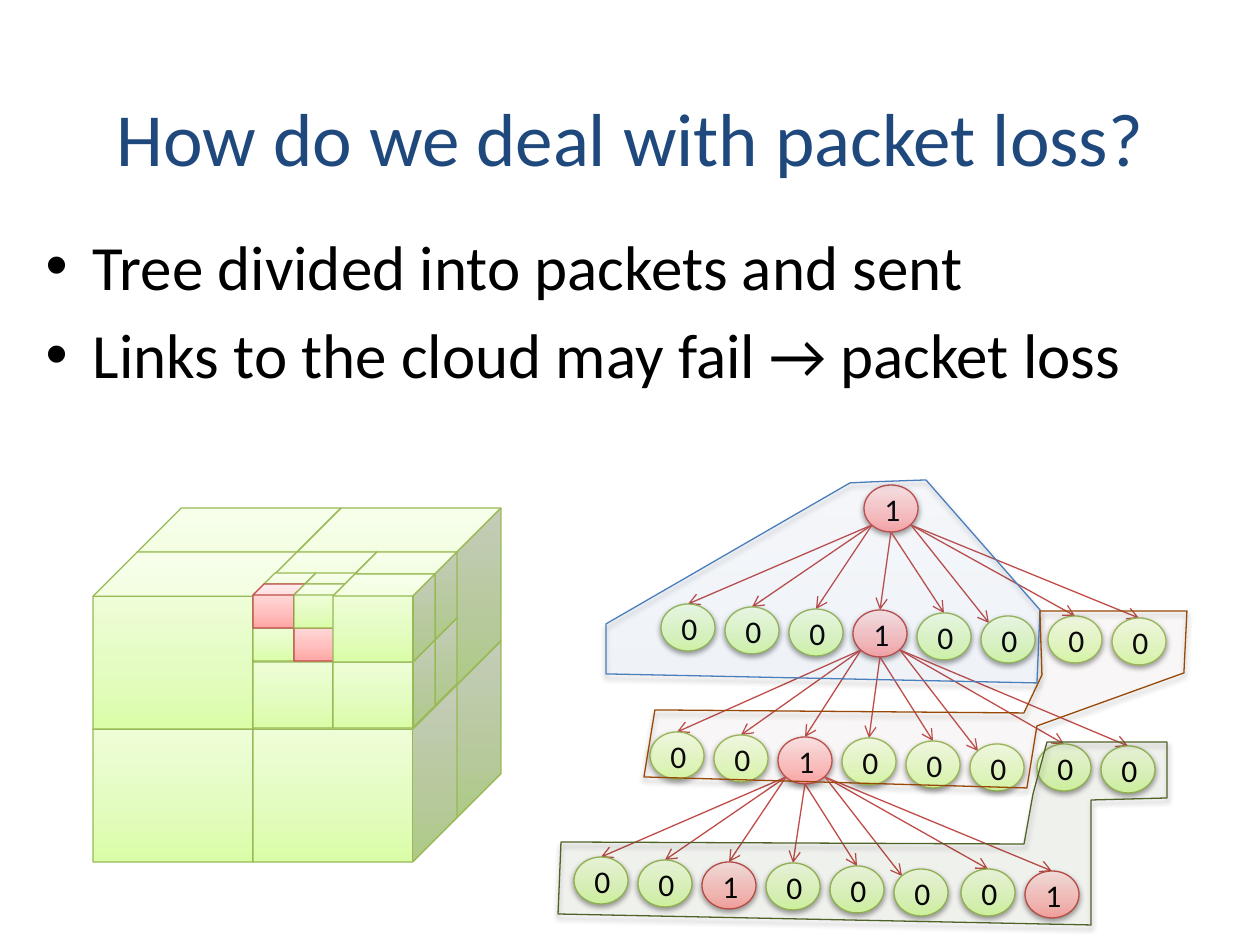
"""Build the slide on packet loss: an octree cube beside its tree, split into packets."""
from lxml.etree import SubElement
from pptx import Presentation
from pptx.dml.color import RGBColor
from pptx.enum.shapes import MSO_CONNECTOR, MSO_SHAPE
from pptx.enum.text import MSO_ANCHOR, MSO_AUTO_SIZE, PP_ALIGN
from pptx.oxml import parse_xml
from pptx.oxml.ns import nsdecls, qn
from pptx.util import Inches, Pt

SCALE = Inches(1) / 126
FONT = "Calibri"

TITLE = "How do we deal with packet loss?"
BULLETS = [
    "Tree divided into packets and sent",
    "Links to the cloud may fail → packet loss",
]

GREEN = {"stops": [(0, "DAFDA7"), (35, "E4FCC2"), (100, "F5FFE7")], "line": "98B955"}
RED = {"stops": [(0, "FFA6A5"), (35, "FFC0BF"), (100, "FFE7E7")], "line": "BF4C48"}

LEVELS = {
    "large": (93, 508, 204, 177, 44),
    "medium": (253, 552, 102, 88, 22),
    "small": (253, 573, 52, 44, 11),
}
BACK, FRONT = 1, 0
CUBES = [
    ("large", BACK, [(1, 1, GREEN), (0, 0, GREEN), (1, 0, GREEN)]),
    ("large", FRONT, [(0, 1, GREEN), (1, 1, GREEN), (0, 0, GREEN)]),
    ("medium", BACK, [(1, 1, GREEN), (0, 0, GREEN), (1, 0, GREEN)]),
    ("medium", FRONT, [(0, 1, GREEN), (1, 1, GREEN)]),
    ("small", BACK, [(1, 1, GREEN), (0, 0, GREEN), (1, 0, GREEN)]),
    ("small", FRONT, [(0, 1, GREEN), (1, 1, RED), (0, 0, RED), (1, 0, GREEN)]),
    ("medium", FRONT, [(1, 0, GREEN)]),
]

NODE_SIZE = (54, 47)
ROOT = (864, 485)
ROWS = [
    {"start": (661, 604), "digits": "00010000", "parent_of_next": 3},
    {"start": (650, 732), "digits": "00100000", "parent_of_next": 2},
    {"start": (574, 857), "digits": "00100001", "parent_of_next": None},
]
CHILD_OFFSETS = [(0, 0), (64, 3), (128, 5), (192, 6),
                 (256, 9), (320, 12), (387, 12), (451, 14)]
LEFT_EXIT, BOTTOM_EXIT, RIGHT_EXIT = (8, 40), (27, 47), (47, 40)
EXITS = [LEFT_EXIT] * 3 + [BOTTOM_EXIT] * 2 + [RIGHT_EXIT] * 3
TOP_ENTRY, CORNER_ENTRY = (27, 0), (8, 7)
ENTRIES = [TOP_ENTRY] * 5 + [CORNER_ENTRY] + [TOP_ENTRY] * 2

PACKETS = [
    {"stops": [(0, "3F80CE"), (100, "A4C4FF")], "line": "4B7EBC",
     "points": [(926, 480), (870, 482), (850, 483), (606, 624), (606, 674),
                (1037, 683), (1040, 610)]},
    {"stops": [(0, "E6B9B8")], "line": "984807",
     "points": [(1042, 675), (1040, 611), (1187, 611), (1184, 673), (1037, 726),
                (1027, 788), (644, 777), (655, 710), (1024, 713)]},
    {"stops": [(0, "4F6228")], "line": "4F6228",
     "points": [(1033, 794), (1047, 742), (1167, 742), (1167, 798), (1091, 800),
                (1091, 925), (558, 914), (561, 842), (1024, 844)]},
]


def px(*values):
    return [round(value * SCALE) for value in values]


def color(code):
    return RGBColor.from_string(code)


def add(point, offset):
    return point[0] + offset[0], point[1] + offset[1]


def paint(shape, style, alpha=100):
    opacity = f'<a:alpha val="{alpha * 1000}"/>'
    if len(style["stops"]) == 1:
        shape.fill.solid()
        shape.fill.fore_color.rgb = color(style["stops"][0][1])
        fill = shape.element.spPr.find(qn("a:solidFill"))
        fill[0].append(parse_xml(opacity.replace("/>", f' {nsdecls("a")}/>')))
    else:
        shape.fill.gradient()
        stops = "".join(
            f'<a:gs pos="{place * 1000}"><a:srgbClr val="{code}">{opacity}</a:srgbClr></a:gs>'
            for place, code in style["stops"])
        fill = shape.element.spPr.find(qn("a:gradFill"))
        fill.getparent().replace(fill, parse_xml(
            f'<a:gradFill {nsdecls("a")} rotWithShape="1"><a:gsLst>{stops}</a:gsLst>'
            '<a:lin ang="16200000" scaled="0"/></a:gradFill>'))
    shape.line.color.rgb = color(style["line"])
    shape.line.width = Pt(0.75)
    shape.shadow.inherit = False


def cast_shadow(shape, alpha, distance):
    effects = shape.element.spPr.find(qn("a:effectLst"))
    effects.append(parse_xml(
        f'<a:outerShdw {nsdecls("a")} blurRad="{Pt(3.1)}" dist="{Pt(distance)}" '
        f'dir="5400000" rotWithShape="0"><a:srgbClr val="000000">'
        f'<a:alpha val="{alpha * 1000}"/></a:srgbClr></a:outerShdw>'))


def place_text(box, frame, lines, size, code):
    box.left, box.top, box.width, box.height = px(*frame)
    box.text_frame.text = "\n".join(lines)
    box.text_frame.auto_size = MSO_AUTO_SIZE.NONE
    for paragraph in box.text_frame.paragraphs:
        paragraph.font.name = FONT
        paragraph.font.size = Pt(size)
        paragraph.font.color.rgb = color(code)
    box.text_frame.paragraphs[0].space_before = Pt(0)


def draw_cubes(page):
    for level, layer, cells in CUBES:
        left, top, width, height, depth = LEVELS[level]
        for column, row, style in cells:
            x = left + layer * depth + column * (width - depth)
            y = top + (1 - layer) * depth + row * (height - depth)
            cube = page.shapes.add_shape(MSO_SHAPE.CUBE, *px(x, y, width, height))
            paint(cube, style)


def draw_node(page, position, digit):
    node = page.shapes.add_shape(MSO_SHAPE.OVAL, *px(*position, *NODE_SIZE))
    paint(node, RED if digit == "1" else GREEN)
    cast_shadow(node, 38, 1.6)
    node.text_frame.text = digit
    node.text_frame.vertical_anchor = MSO_ANCHOR.MIDDLE
    paragraph = node.text_frame.paragraphs[0]
    paragraph.alignment = PP_ALIGN.CENTER
    paragraph.font.name = FONT
    paragraph.font.size = Pt(18)
    paragraph.font.color.rgb = color("000000")


def draw_arrow(page, start, end):
    arrow = page.shapes.add_connector(MSO_CONNECTOR.STRAIGHT, *px(*start, *end))
    arrow.line.color.rgb = color(RED["line"])
    arrow.line.width = Pt(0.75)
    SubElement(arrow.line._get_or_add_ln(), qn("a:tailEnd"), type="arrow")
    SubElement(arrow.element.spPr, qn("a:effectLst"))


def draw_tree(page):
    draw_node(page, ROOT, "1")
    parent = ROOT
    for row in ROWS:
        children = [add(row["start"], offset) for offset in CHILD_OFFSETS]
        for child, leave, enter in zip(children, EXITS, ENTRIES):
            draw_arrow(page, add(parent, leave), add(child, enter))
        for child, digit in zip(children, row["digits"]):
            draw_node(page, child, digit)
        if row["parent_of_next"] is not None:
            parent = children[row["parent_of_next"]]


def draw_packets(page):
    for packet in PACKETS:
        first, *rest = packet["points"]
        builder = page.shapes.build_freeform(*first, scale=SCALE)
        builder.add_line_segments(rest, close=True)
        outline = builder.convert_to_shape()
        paint(outline, packet, alpha=6)
        cast_shadow(outline, 35, 1.8)


def main():
    deck = Presentation()
    deck.slide_width, deck.slide_height = px(1260, 945)
    page = deck.slides.add_slide(deck.slide_layouts[1])
    place_text(page.shapes.title, (63, 58, 1134, 158), [TITLE], 42.9, "1F497D")
    place_text(page.placeholders[1], (33, 221, 1227, 780), BULLETS, 36, "000000")
    draw_cubes(page)
    draw_tree(page)
    draw_packets(page)
    deck.save("out.pptx")


if __name__ == "__main__":
    main()
